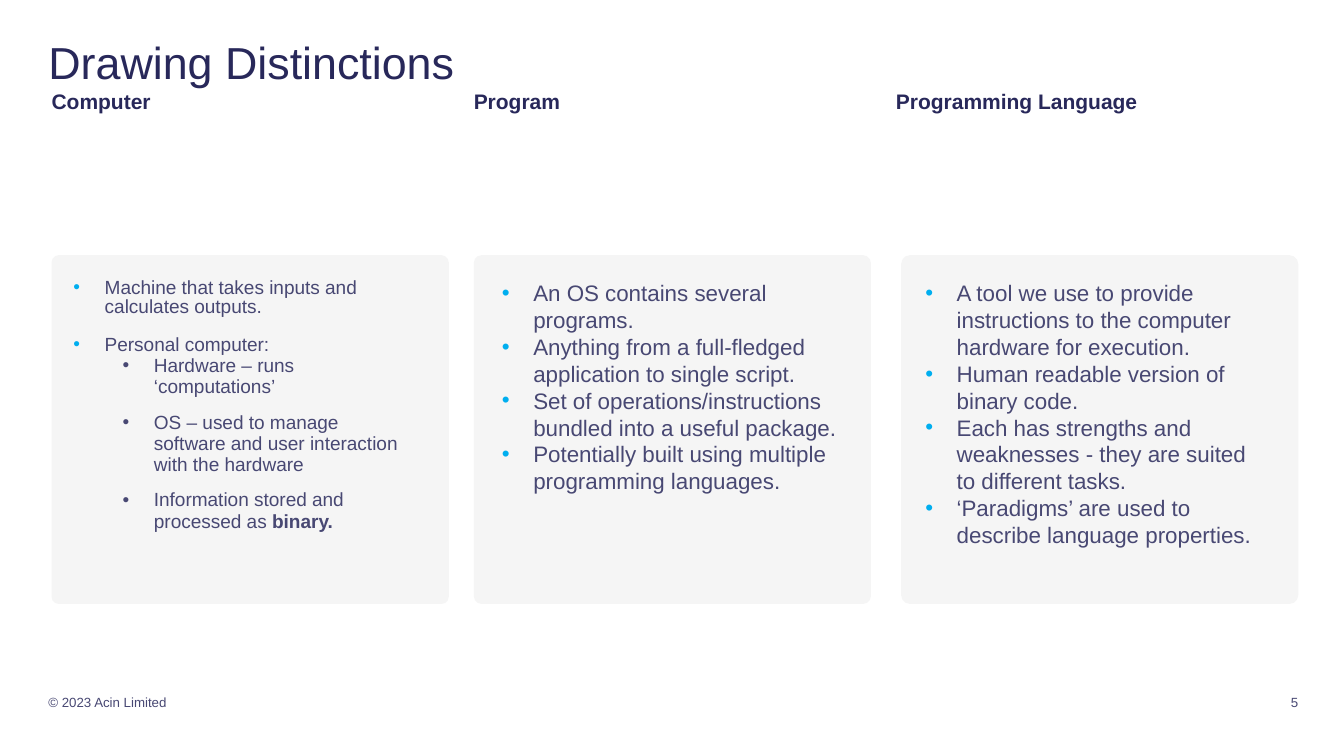
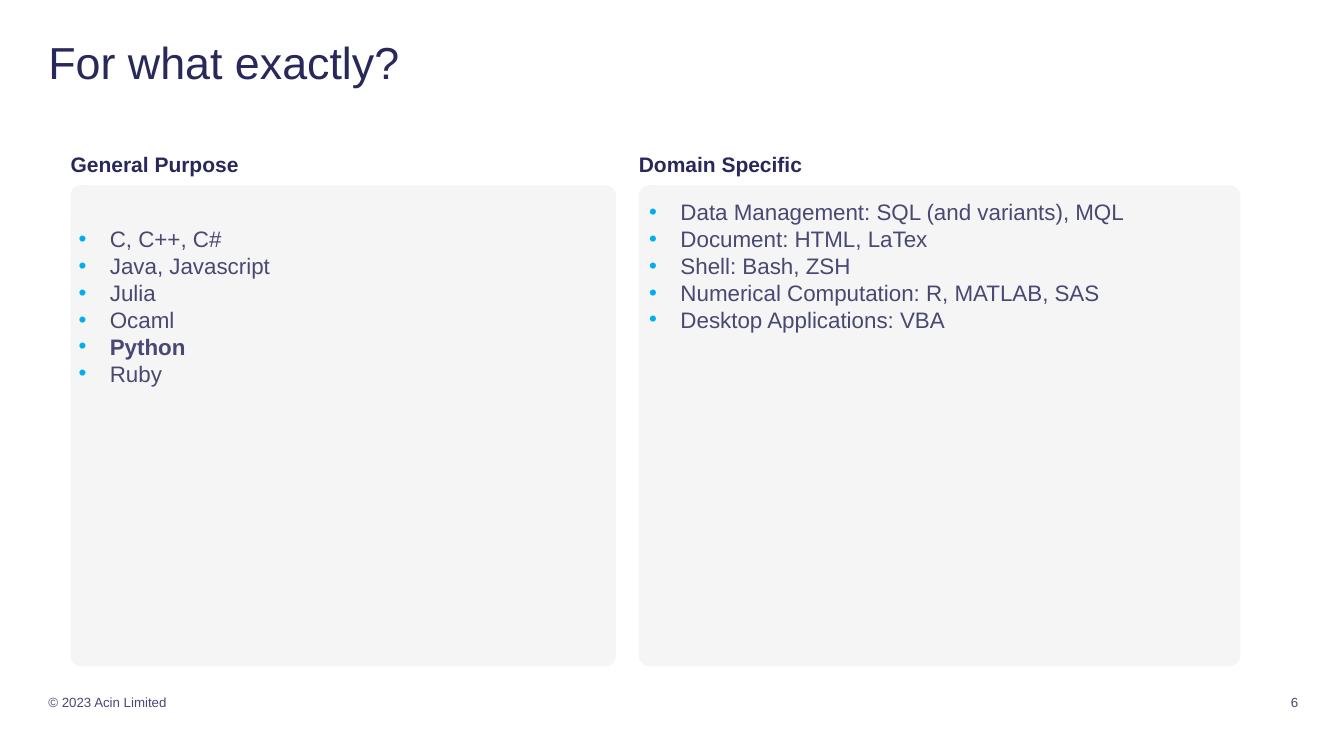
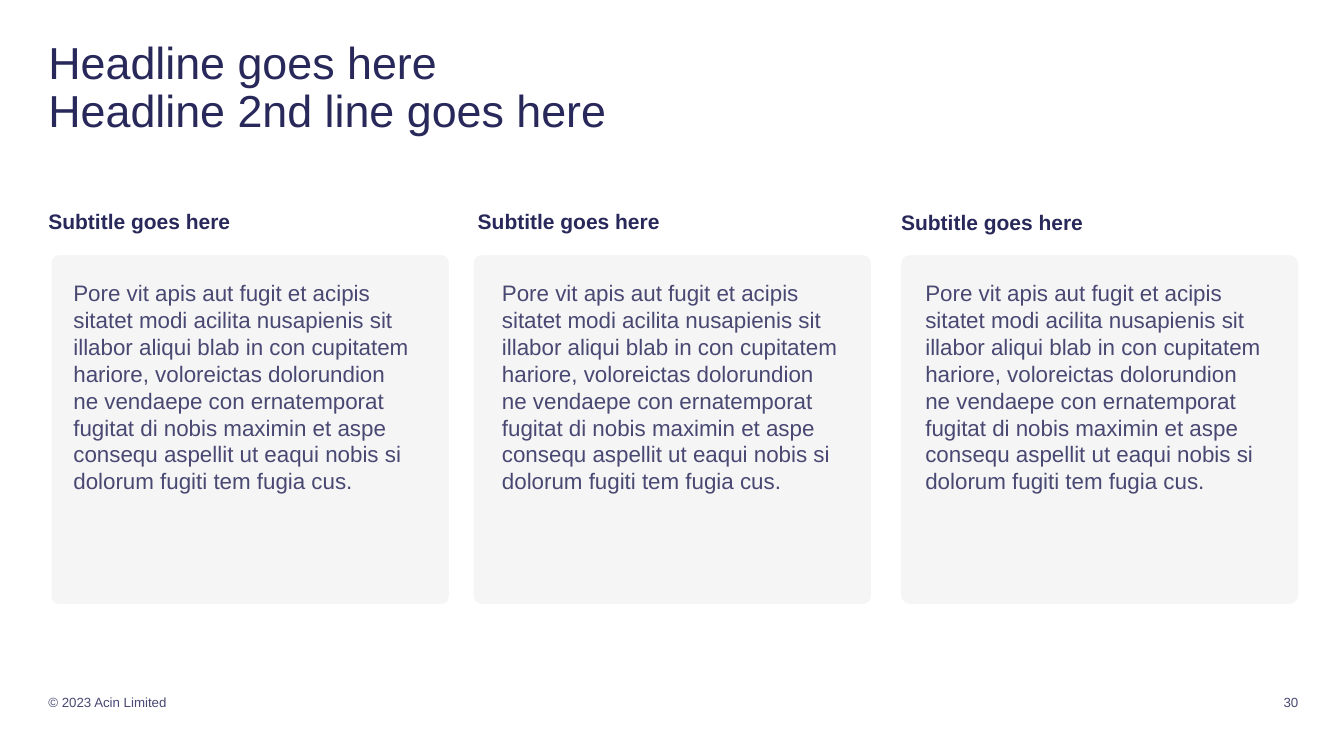
from lxml import etree
from pptx import Presentation
from pptx.dml.color import RGBColor
from pptx.enum import shapes, text
from pptx.oxml import ns
from pptx.util import Cm, Pt

NAVY = RGBColor(0x28, 0x28, 0x5A)
SLATE = RGBColor(0x48, 0x48, 0x73)
CYAN = RGBColor(0x00, 0xAE, 0xEF)
PALE = RGBColor(0xF5, 0xF5, 0xF5)
FONT = "Arial"
MARGIN = 1.22
HANG = 0.79
ROUND = (0.021, 0.023, 0.026)
CARDS = (1.3, 11.94, 22.71)
BODIES = (1.85, 12.65, 23.32)

LOREM = (
    "Pore vit apis aut fugit et acipis sitatet modi acilita nusapienis sit "
    "illabor aliqui blab in con cupitatem hariore, voloreictas dolorundion "
    "ne vendaepe con ernatemporat fugitat di nobis maximin et aspe consequ "
    "aspellit ut eaqui nobis si dolorum fugiti tem fugia cus."
)
PARTS = (
    ("Machine that takes inputs and calculates outputs.", 0, 0.84, 13.2),
    ("Personal computer:", 0, 0.84, 0),
    ("Hardware – runs ‘computations’", 1, 0.93, 10),
    ("OS – used to manage software and user interaction with the hardware", 1, 0.93, 10),
    ("Information stored and processed as **binary.", 1, 0.93, 0),
)
PROGRAMS = (
    "An OS contains several programs.",
    "Anything from a full-fledged application to single script.",
    "Set of operations/instructions bundled into a useful package.",
    "Potentially built using multiple programming languages.",
)
TOOLS = (
    "A tool we use to provide instructions to the computer hardware for execution.",
    "Human readable version of binary code.",
    "Each has strengths and weaknesses - they are suited to different tasks.",
    "‘Paradigms’ are used to describe language properties.",
)
GENERAL = ("C, C++, C#", "Java, Javascript", "Julia", "Ocaml", "**Python", "Ruby")
DOMAIN = (
    "Data Management: SQL (and variants), MQL",
    "Document: HTML, LaTex",
    "Shell: Bash, ZSH",
    "Numerical Computation: R, MATLAB, SAS",
    "Desktop Applications: VBA",
)


def bullet(para, level=0):
    props = para._p.get_or_add_pPr()
    props.set("marL", str(Cm(HANG + level * 1.24)))
    props.set("indent", str(-Cm(HANG)))
    tint = etree.SubElement(props, ns.qn("a:buClr"))
    etree.SubElement(tint, ns.qn("a:srgbClr"), val=str(SLATE if level else CYAN))
    etree.SubElement(props, ns.qn("a:buFont"), typeface=FONT)
    etree.SubElement(props, ns.qn("a:buChar"), char="•")


def fill(para, words, size=16, color=SLATE, bold=False, lead=Pt(19.2), after=0,
         align=text.PP_ALIGN.LEFT, level=None):
    if level is not None:
        bullet(para, level)
    para.alignment = align
    para.line_spacing = lead
    para.space_after = Pt(after)
    plain, _, strong = words.partition("**")
    if plain:
        para.text = plain
    if strong:
        para.add_run().text = strong
    for run in para.runs:
        run.font.name = FONT
        run.font.size = Pt(size)
        run.font.color.rgb = color
        run.font.bold = bold or run.text == strong


def frame(slide, left, top, width, height, middle=False):
    box = slide.shapes.add_textbox(Cm(left), Cm(top), Cm(width), Cm(height)).text_frame
    box.margin_left = box.margin_right = box.margin_top = box.margin_bottom = 0
    box.word_wrap = True
    box.vertical_anchor = text.MSO_ANCHOR.MIDDLE if middle else text.MSO_ANCHOR.TOP
    return box


def label(slide, words, left, top, width, height, middle=True, **style):
    fill(frame(slide, left, top, width, height, middle).paragraphs[0], words, **style)


def items(slide, rows, left, top, width, height):
    box = frame(slide, left, top, width, height)
    for row, words in enumerate(rows):
        para = box.add_paragraph() if row else box.paragraphs[0]
        if isinstance(words, tuple):
            words, level, lead, after = words
            fill(para, words, size=13.6, level=level, lead=lead, after=after)
        else:
            fill(para, words, level=0)


def card(slide, left, top, width, height, curve):
    shape = slide.shapes.add_shape(shapes.MSO_SHAPE.ROUNDED_RECTANGLE,
                                   Cm(left), Cm(top), Cm(width), Cm(height))
    shape.adjustments[0] = curve
    shape.shadow.inherit = False
    shape.fill.solid()
    shape.fill.fore_color.rgb = PALE
    shape.line.fill.background()


def head(slide, words, left, top):
    label(slide, words, left, top, 9.8, 1.17, size=15, color=NAVY, bold=True, lead=1.1)


def page(deck, title, number):
    slide = deck.slides.add_slide(deck.slide_layouts[6])
    label(slide, title, MARGIN, 1.02, 22.4, 3, middle=False, size=32, color=NAVY, lead=0.9)
    label(slide, "© 2023 Acin Limited", MARGIN, 17.42, 11.86, 0.56, size=9.5, lead=1.0)
    label(slide, str(number), 31.27, 17.42, 1.45, 0.56, size=9.5, lead=1.0,
          align=text.PP_ALIGN.RIGHT)
    return slide


def triple(deck, title, number, heads):
    slide = page(deck, title, number)
    for left, curve in zip(CARDS, ROUND):
        card(slide, left, 6.43, 10.01, 8.79, curve)
    for words, left, top in heads:
        head(slide, words, left, top)
    return slide


def main():
    deck = Presentation()
    deck.slide_width, deck.slide_height = Cm(33.87), Cm(19.05)

    slide = triple(deck, "Drawing Distinctions", 5, (
        ("Computer", 1.3, 1.93),
        ("Program", 11.94, 1.93),
        ("Programming Language", 22.58, 1.93),
    ))
    for left, rows in zip(BODIES, (PARTS, PROGRAMS, TOOLS)):
        items(slide, rows, left, 7.04, 8.53, 7.11)

    slide = page(deck, "For what exactly?", 6)
    for words, rows, left, width, curve, start, top in (
        ("General Purpose", GENERAL, 1.78, 13.74, ROUND[0], 1.98, 5.68),
        ("Domain Specific", DOMAIN, 16.1, 15.16, ROUND[1], 16.36, 5),
    ):
        card(slide, left, 4.67, width, 12.12, curve)
        head(slide, words, left, 3.51)
        items(slide, rows, start, top, 13.39, 10.2)

    slide = triple(deck, "Headline goes here\vHeadline 2nd line goes here", 30, (
        ("Subtitle goes here", MARGIN, 4.95),
        ("Subtitle goes here", 12.04, 4.95),
        ("Subtitle goes here", 22.71, 4.98),
    ))
    for left in BODIES:
        label(slide, LOREM, left, 7.04, 8.53, 7.11, middle=False)

    deck.save("out.pptx")


if __name__ == "__main__":
    main()
